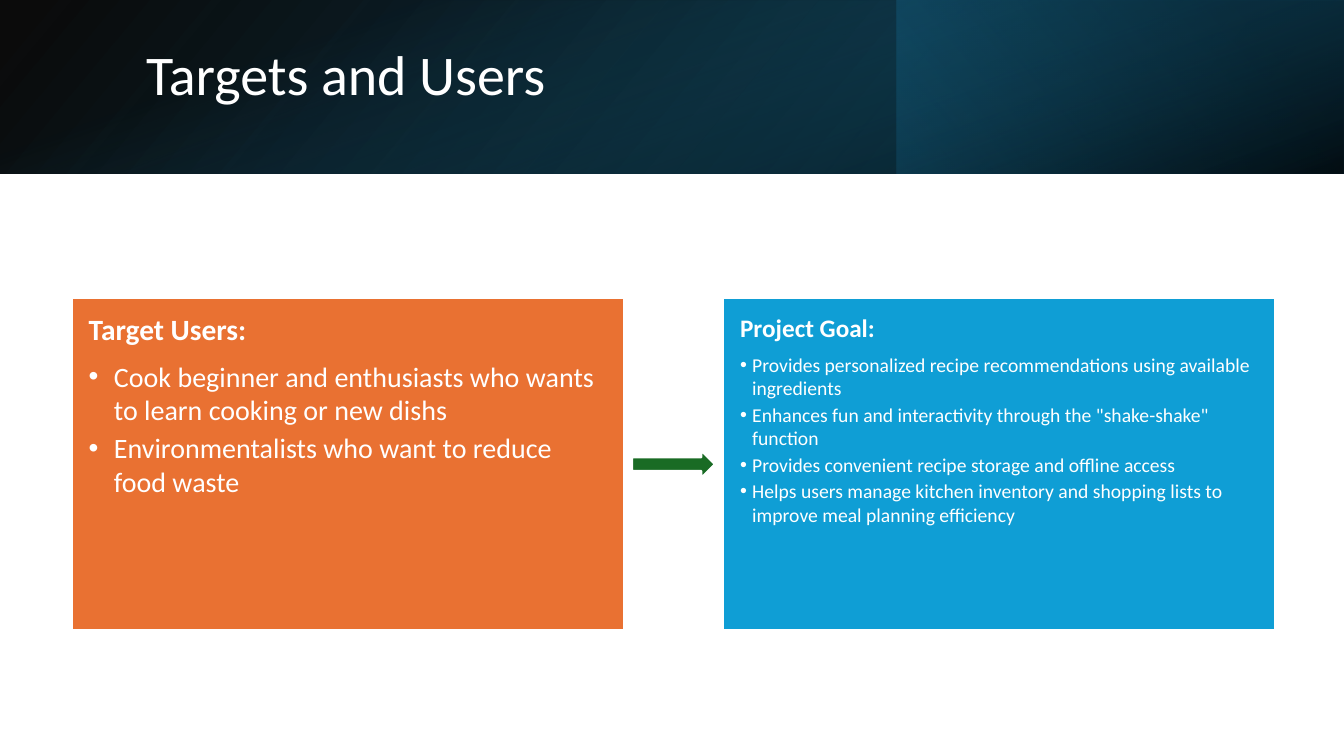
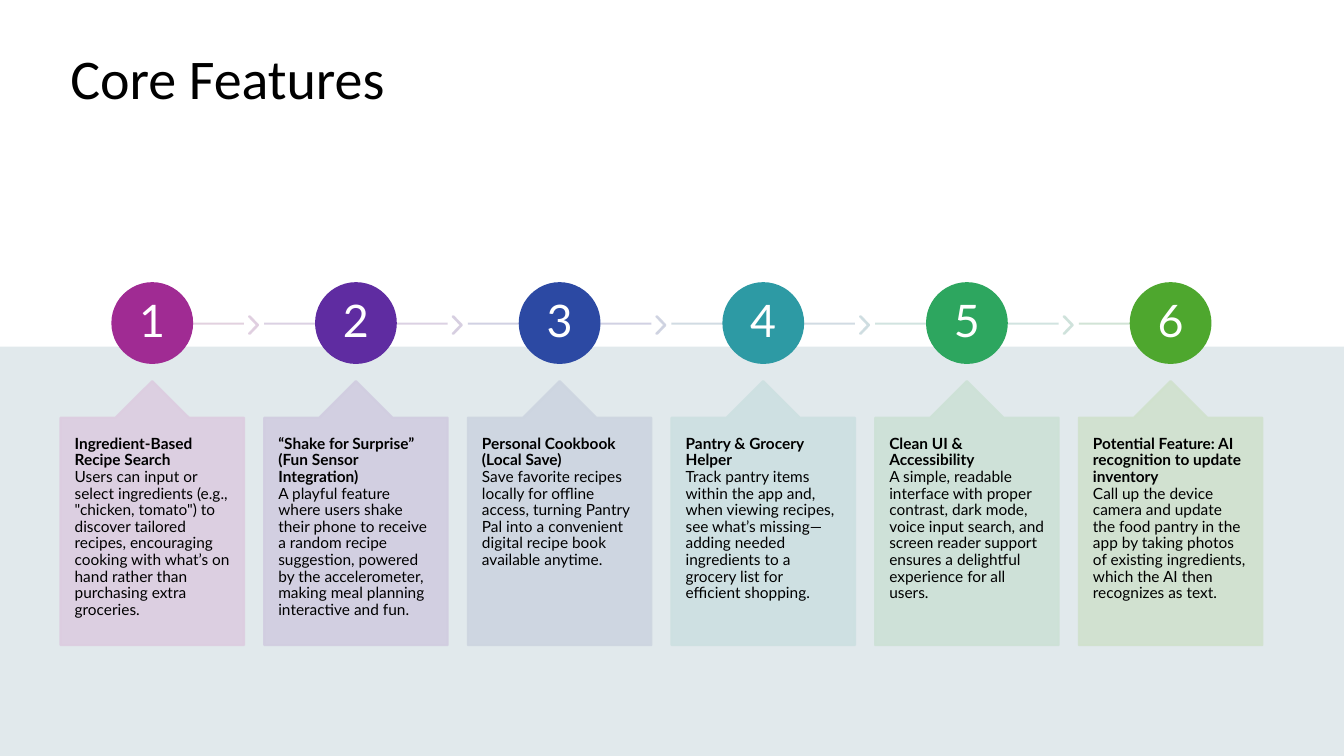
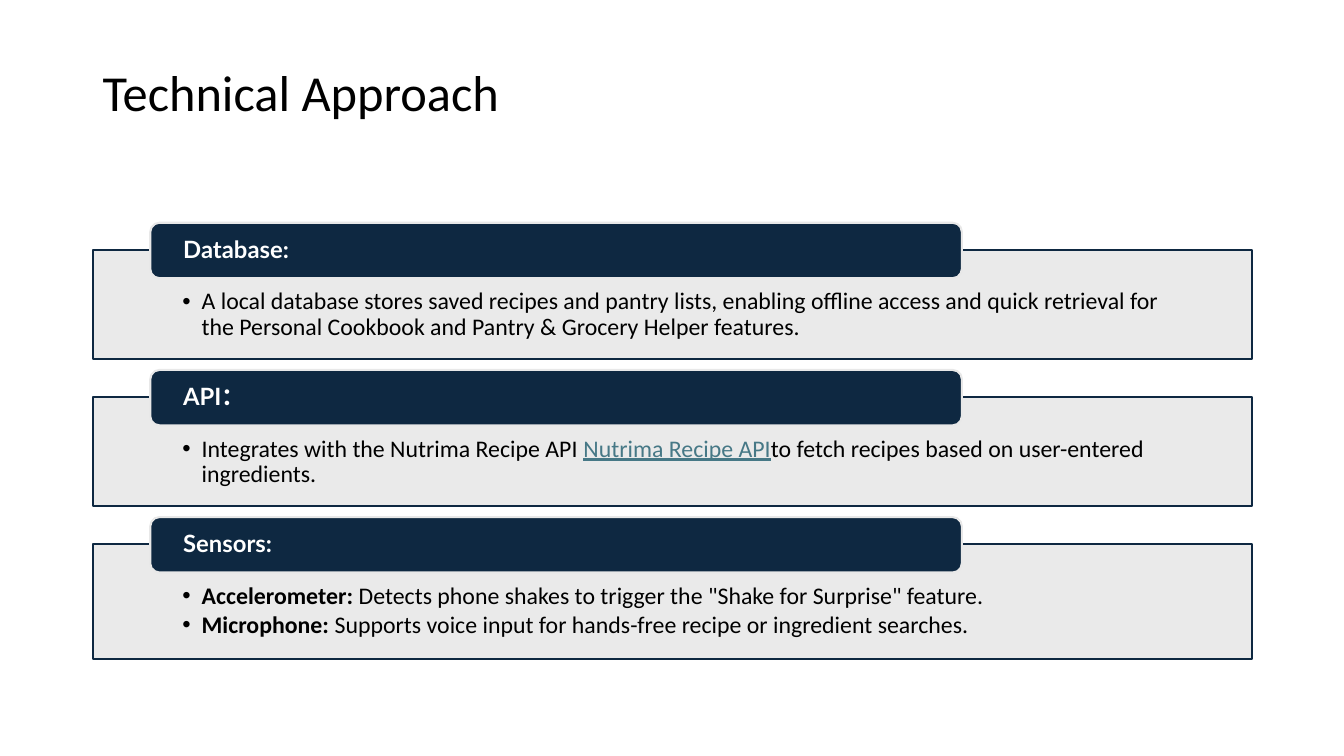
from lxml.etree import SubElement
from pptx import Presentation
from pptx.dml.color import RGBColor
from pptx.enum.shapes import MSO_CONNECTOR, MSO_SHAPE
from pptx.enum.text import MSO_ANCHOR, PP_ALIGN
from pptx.oxml import parse_xml
from pptx.oxml.ns import nsdecls, qn
from pptx.util import Inches, Pt

WHITE = RGBColor(0xFF, 0xFF, 0xFF)
BLACK = RGBColor(0x00, 0x00, 0x00)
ORANGE = RGBColor(0xE9, 0x71, 0x32)
SKY = RGBColor(0x0F, 0x9E, 0xD5)
GREEN = RGBColor(0x19, 0x6B, 0x24)
PALE = RGBColor(0xF2, 0xF2, 0xF2)
TINT = RGBColor(0x0B, 0x76, 0xA0)
NAVY = RGBColor(0x0E, 0x28, 0x41)
GRAY = RGBColor(0xE8, 0xE8, 0xE8)
LINK = RGBColor(0x46, 0x78, 0x86)
BODY, ACCENT = "Calibri", "Lato"
WIDE, HIGH = 13.33, 7.5
BAND = 1.72

# left, top, width, height, rotation, flipped, angle, stops (place, colour, opacity)
GLOWS = [
    (0, 0, WIDE, BAND, 0, True, 140, [(0, "000000", 96), (100, "104862", 100)]),
    (8.89, 0, 4.44, BAND, 180, False, 320, [(19, "0B3041", 68), (100, "156082", 79)]),
    (5.8, -5.8, BAND, WIDE, 90, False, 340, [(23, "156082", 0), (99, "000000", 74)]),
]

# left, fill, heading, heading size, bullet size, indent, gap after heading, bullets
PANELS = [
    (0.71, ORANGE, "Target Users:", 21, 20, 0.25, 8.5, [
        "Cook beginner and enthusiasts who wants to learn cooking or new dishs",
        "Environmentalists who want to reduce food waste"]),
    (7.17, SKY, "Project Goal:", 18, 14, 0.12, 7, [
        "Provides personalized recipe recommendations using available ingredients",
        'Enhances fun and interactivity through the "shake-shake" function',
        "Provides convenient recipe storage and offline access",
        "Helps users manage kitchen inventory and shopping lists to improve meal "
        "planning efficiency"]),
]

# circle, line, chevron and card colours, heading, text
FEATURES = [
    ("A02B93", "DFCDDC", "DFCDDF", "DCCDE0", "Ingredient-Based Recipe Search",
     'Users can input or select ingredients (e.g., "chicken, tomato") to discover '
     "tailored recipes, encouraging cooking with what’s on hand rather than "
     "purchasing extra groceries."),
    ("5F2CA1", "D8CDE0", "D5CDE0", "D1CDE0",
     "“Shake for Surprise” (Fun Sensor Integration)",
     "A playful feature where users shake their phone to receive a random recipe "
     "suggestion, powered by the accelerometer, making meal planning interactive "
     "and fun."),
    ("2C49A3", "CDCDE0", "CDD1E0", "CDD5E0", "Personal Cookbook (Local Save)",
     "Save favorite recipes locally for offline access, turning Pantry Pal into a "
     "convenient digital recipe book available anytime."),
    ("2D9AA4", "CDD8E0", "CDDCE0", "CDE0E1", "Pantry & Grocery Helper",
     "Track pantry items within the app and, when viewing recipes, see what’s "
     "missing—adding needed ingredients to a grocery list for efficient shopping."),
    ("2DA65F", "CDE1DD", "CDE1DA", "CDE1D6", "Clean UI & Accessibility",
     "A simple, readable interface with proper contrast, dark mode, voice input "
     "search, and screen reader support ensures a delightful experience for all "
     "users."),
    ("4EA72E", "CDE1D2", None, "D0E1CD",
     "Potential Feature: AI recognition to update inventory",
     "Call up the device camera and update the food pantry in the app by taking "
     "photos of existing ingredients, which the AI then recognizes as text."),
]

# label, height, bullets made of runs
BOLD = {"bold": True}
LAYERS = [
    ("Database:", 1.08, [
        ["A local database stores saved recipes and pantry lists, enabling offline "
         "access and quick retrieval for the Personal Cookbook and Pantry & Grocery "
         "Helper features."]]),
    ("API：", 1.08, [
        ["Integrates with the Nutrima Recipe API ",
         ("Nutrima Recipe API", {"color": LINK, "underline": True}),
         "to fetch recipes based on user-entered ingredients."]]),
    ("Sensors:", 1.14, [
        [("Accelerometer:", BOLD),
         ' Detects phone shakes to trigger the "Shake for Surprise" feature.'],
        [("Microphone:", BOLD),
         " Supports voice input for hands-free recipe or ingredient searches."]]),
]


def frame(shape, inset, anchor=MSO_ANCHOR.TOP):
    """Set wrapping, anchor and the left/right and top/bottom insets."""
    tf = shape.text_frame
    tf.word_wrap = True
    tf.vertical_anchor = anchor
    side, top, base = inset
    tf.margin_left = tf.margin_right = Inches(side)
    tf.margin_top, tf.margin_bottom = Inches(top), Inches(base)


def say(shape, *runs, size, font=BODY, color=WHITE, bold=False, align=PP_ALIGN.LEFT,
        spacing=0.9, after=0, indent=0):
    """Add one paragraph; a run is a text or a (text, format) pair."""
    tf = shape.text_frame
    para = tf.paragraphs[0] if not tf.text else tf.add_paragraph()
    para.alignment = align
    para.line_spacing = spacing
    para.space_after = Pt(after)
    if indent:
        props = para._p.get_or_add_pPr()
        props.set("marL", str(Inches(indent)))
        props.set("indent", str(-Inches(indent)))
        SubElement(props, qn("a:buFont"), typeface="Arial")
        SubElement(props, qn("a:buChar"), char="•")
    for item in runs:
        text, own = (item, {}) if isinstance(item, str) else item
        run = para.add_run()
        run.text = text
        run.font.size, run.font.name = Pt(size), font
        run.font.bold = own.get("bold", bold)
        run.font.underline = own.get("underline", False)
        run.font.color.rgb = own.get("color", color)


def box(slide, kind, left, top, width, height, fill=None, line=None, adj=()):
    shape = slide.shapes.add_shape(
        kind, Inches(left), Inches(top), Inches(width), Inches(height))
    shape.shadow.inherit = False
    for i, value in enumerate(adj):
        shape.adjustments[i] = value
    if fill is not None:
        shape.fill.solid()
        shape.fill.fore_color.rgb = fill
    if line is None:
        shape.line.fill.background()
    else:
        shape.line.color.rgb = line
        shape.line.width = Pt(1.5)
    return shape


def fade(shape, percent, whole=True):
    """Set the opacity of the fill, and of the line too if whole."""
    root = shape.element.spPr
    if not whole:
        root = root.find(qn("a:solidFill"))
    for color in root.iter(qn("a:srgbClr")):
        SubElement(color, qn("a:alpha"), val=str(percent * 1000))


def glow(slide, left, top, width, height, turn, flip, angle, stops):
    """Draw one see-through gradient layer of the title band."""
    shape = box(slide, MSO_SHAPE.RECTANGLE, left, top, width, height)
    shape.rotation = turn
    props = shape.element.spPr
    if flip:
        props.xfrm.set("flipH", "1")
    marks = "".join(
        f'<a:gs pos="{place * 1000}"><a:srgbClr val="{color}">'
        f'<a:alpha val="{alpha * 1000}"/></a:srgbClr></a:gs>'
        for place, color, alpha in stops)
    props.find(qn("a:prstGeom")).addnext(parse_xml(
        f'<a:gradFill {nsdecls("a")} rotWithShape="1"><a:gsLst>{marks}</a:gsLst>'
        f'<a:lin ang="{angle * 60000}" scaled="0"/></a:gradFill>'))


def title(slide, text, left, top, width, size=40, color=BLACK):
    shape = slide.shapes.add_textbox(
        Inches(left), Inches(top), Inches(width), Inches(0.75))
    frame(shape, (0.1, 0.05, 0.05))
    say(shape, text, size=size, color=color)


def rule(slide, start, end, y, color):
    line = slide.shapes.add_connector(
        MSO_CONNECTOR.STRAIGHT, Inches(start), Inches(y), Inches(end), Inches(y))
    line.line.color.rgb = color
    line.line.width = Pt(1.5)
    SubElement(line.element.spPr, qn("a:effectLst"))
    fade(line, 90)


def targets(slide):
    for layer in GLOWS:
        glow(slide, *layer)
    title(slide, "Targets and Users", 1.35, 0.42, 10.98, color=WHITE)
    for left, fill, head, big, small, indent, gap, points in PANELS:
        panel = box(slide, MSO_SHAPE.RECTANGLE, left, 2.96, 5.48, 3.29, fill, WHITE)
        frame(panel, (0.17, 0.17, 0.17))
        say(panel, head, size=big, bold=True, after=gap)
        for point in points:
            say(panel, point, size=small, spacing=1, after=small * 0.15, indent=indent)
    box(slide, MSO_SHAPE.RIGHT_ARROW, 6.27, 4.47, 0.82, 0.27, GREEN, WHITE)


def features(slide):
    width, pitch, disc, axis = 1.82, 2.02, 0.79, 3.21
    for fill, alpha, height in ((PALE, 100, HIGH), (TINT, 7, HIGH), (WHITE, 100, 3.44)):
        fade(box(slide, MSO_SHAPE.RECTANGLE, 0, 0, WIDE, height, fill), alpha)
    title(slide, "Core Features", 0.6, 0.46, 12.13)
    last = len(FEATURES) - 1
    for i, (*codes, head, text) in enumerate(FEATURES):
        main, thin, tip, pale = [c and RGBColor.from_string(c) for c in codes]
        left = 0.6 + i * pitch
        mid, right = left + width / 2, left + width
        rule(slide, left if i else mid, right if i < last else mid, axis, thin)
        if tip:
            fade(box(slide, MSO_SHAPE.CHEVRON, right + 0.05, 3.14, 0.09, 0.17,
                     tip, tip, [0.9]), 90)
        circle = box(slide, MSO_SHAPE.OVAL, mid - disc / 2, 2.81, disc, disc, main, main)
        frame(circle, (0.03, 0.03, 0.03), MSO_ANCHOR.MIDDLE)
        say(circle, str(i + 1), size=32, font=ACCENT, align=PP_ALIGN.CENTER)
        card = box(slide, MSO_SHAPE.UP_ARROW_CALLOUT, left, 3.78, width, 2.62,
                   pale, pale, [0.5, 0.2, 0.2, 1])
        fade(card, 90)
        frame(card, (0.14, 0.18, 0.18))
        say(card, head, size=11, font=ACCENT, color=BLACK, bold=True)
        say(card, text, size=11, font=ACCENT, color=BLACK)


def approach(slide):
    title(slide, "Technical Approach", 0.92, 0.63, 11.5, size=36)
    for i, (label, height, points) in enumerate(LAYERS):
        top = 2.48 + i * 1.46
        panel = box(slide, MSO_SHAPE.RECTANGLE, 0.92, top, 11.5, height, GRAY, NAVY)
        fade(panel, 90, whole=False)
        frame(panel, (0.89, 0.39, 0.13))
        for runs in points:
            say(panel, *runs, size=17, color=BLACK, after=2.5, indent=0.19)
        tab = box(slide, MSO_SHAPE.ROUNDED_RECTANGLE, 1.49, top - 0.27, 8.05, 0.55,
                  NAVY, GRAY)
        frame(tab, (0.3, 0, 0), MSO_ANCHOR.MIDDLE)
        say(tab, label, size=17, font=ACCENT, bold=True)


def main():
    deck = Presentation()
    deck.slide_width, deck.slide_height = Inches(WIDE), Inches(HIGH)
    for draw in (targets, features, approach):
        draw(deck.slides.add_slide(deck.slide_layouts[6]))
    deck.save("out.pptx")


if __name__ == "__main__":
    main()
